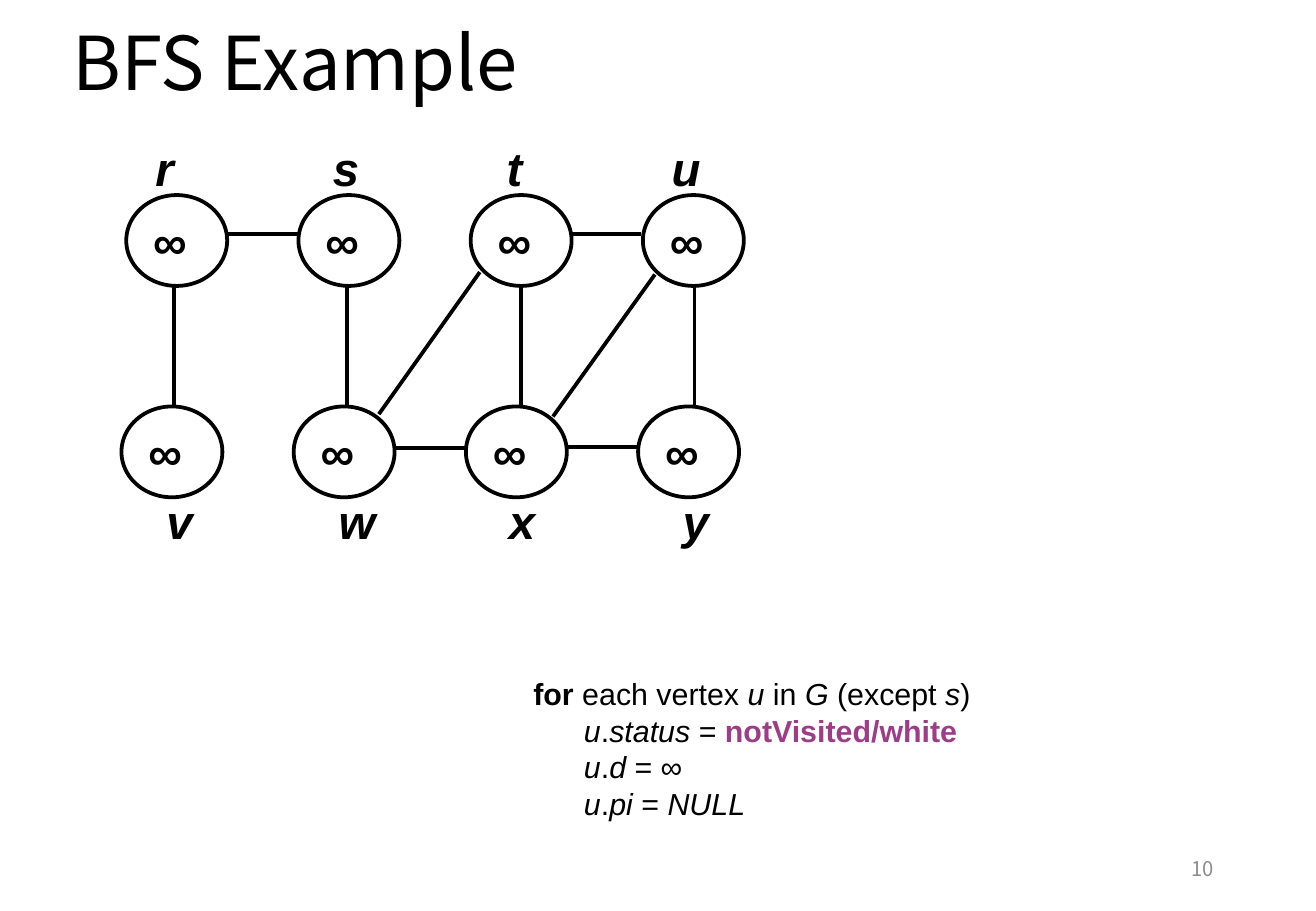
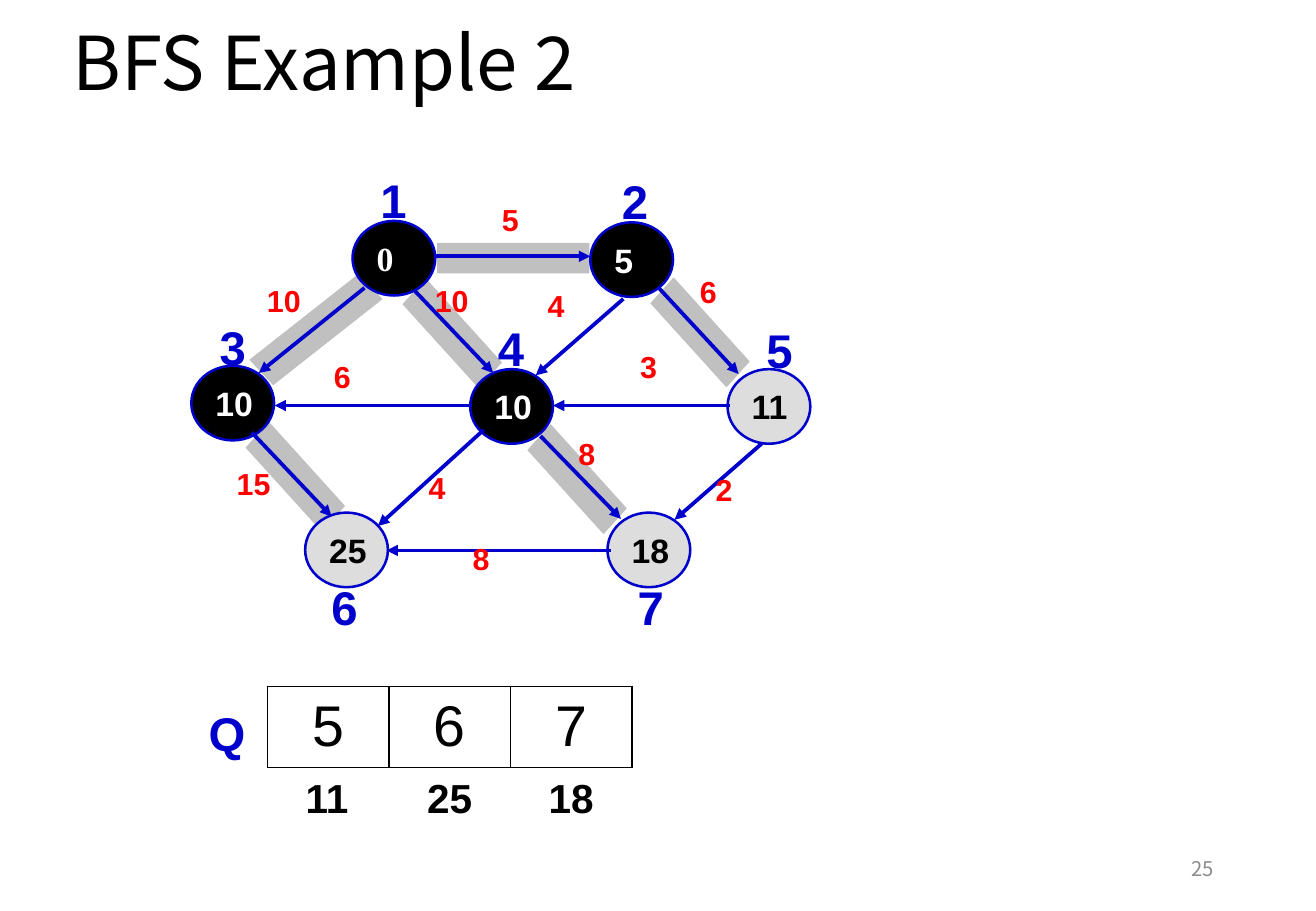
from lxml.etree import SubElement
from pptx import Presentation
from pptx.dml.color import RGBColor
from pptx.enum.shapes import MSO_CONNECTOR as Connector, MSO_SHAPE as Shape
from pptx.enum.text import MSO_ANCHOR as Anchor, MSO_AUTO_SIZE as AutoSize, PP_ALIGN as Align
from pptx.oxml.ns import qn
from pptx.util import Cm, Pt

COLORS = {
    "black": "000000", "white": "FFFFFF", "gray": "8C8C8C", "band": "C0C0C0",
    "queued": "DDDDDD", "blue": "0000CC", "red": "FF0000", "purple": "9D3D88",
}
HEADING_FONT = "Noto Sans CJK SC"
BODY_FONT = "Arial"


def rgb(color):
    return RGBColor.from_string(COLORS[color])


def style(font, size, color="black", name=BODY_FONT, bold=None, italic=None):
    font.size, font.name = Pt(size), name
    font.bold, font.italic = bold, italic
    font.color.rgb = rgb(color)


def add_text(slide, box, text, size, color="black", align=Align.LEFT,
             anchor=Anchor.MIDDLE, spacing=None, **font):
    frame = slide.shapes.add_textbox(*map(Cm, box)).text_frame
    frame.word_wrap = True
    frame.vertical_anchor = anchor
    paragraph = frame.paragraphs[0]
    paragraph.text = text
    paragraph.alignment = align
    paragraph.line_spacing = spacing
    style(paragraph.font, size, color, **font)
    return frame


def add_label(slide, box, text, size, color="black", italic=None):
    frame = add_text(slide, box, text, size, color, anchor=Anchor.TOP, bold=True, italic=italic)
    frame.word_wrap = False
    frame.auto_size = AutoSize.SHAPE_TO_FIT_TEXT


def add_node(slide, box, text, size, line, width, fill=None, color="black", **font):
    shape = slide.shapes.add_shape(Shape.OVAL, *map(Cm, box))
    shape.shadow.inherit = False
    if fill:
        shape.fill.solid()
        shape.fill.fore_color.rgb = rgb(fill)
    else:
        shape.fill.background()
    shape.line.color.rgb = rgb(line)
    shape.line.width = Pt(width)
    frame = shape.text_frame
    frame.word_wrap = False
    frame.vertical_anchor = Anchor.MIDDLE
    paragraph = frame.paragraphs[0]
    paragraph.text = text
    paragraph.alignment = Align.LEFT
    style(paragraph.font, size, color, bold=True, **font)


def add_edge(slide, left, top, ends, color, arrow=False):
    x1, y1, x2, y2 = ends
    connector = slide.shapes.add_connector(
        Connector.STRAIGHT, Cm(left + x1), Cm(top + y1), Cm(left + x2), Cm(top + y2))
    connector.line.color.rgb = rgb(color)
    connector.line.width = Pt(2.25)
    if arrow:
        SubElement(connector.line._get_or_add_ln(), qn("a:tailEnd"), type="triangle")
    SubElement(connector._element.spPr, qn("a:effectLst"))


def add_band(slide, kind, box, rotation):
    shape = slide.shapes.add_shape(kind, *map(Cm, box))
    shape.shadow.inherit = False
    shape.rotation = rotation
    shape.fill.solid()
    shape.fill.fore_color.rgb = rgb("band")
    shape.line.fill.background()


def add_base_slide(presentation, title, number):
    slide = presentation.slides.add_slide(presentation.slide_layouts[6])
    add_text(slide, (1.27, -0.2, 20.12, 3.17), title, 44, spacing=0.9, name=HEADING_FONT)
    add_text(slide, (19.43, 17.65, 6.2, 1.02), number, 12, "gray",
             align=Align.RIGHT, name=HEADING_FONT)
    return slide


def add_unvisited_graph(slide, left, top):
    step, node_width, node_height = 3.6, 2.11, 1.9
    rows = [
        (0.1, 1.34, 0.04, [("r", 0.46, 0.89), ("s", 4.17, 1.07), ("t", 7.8, 0.84), ("u", 11.25, 1.12)]),
        (0, 5.76, 7.42, [("v", 0.69, 1.07), ("w", 4.29, 1.27), ("x", 7.85, 1.07), ("y", 11.48, 1.07)]),
    ]
    for node_left, node_top, label_top, labels in rows:
        for column, (name, label_left, label_width) in enumerate(labels):
            box = (left + node_left + step * column, top + node_top, node_width, node_height)
            add_node(slide, box, "∞", 28, "black", 2.25, italic=True)
            add_label(slide, (left + label_left, top + label_top, label_width, 1.45),
                      name, 28, italic=True)
    vertical = [(1.09 + 3.63 * column, 5.77, 1.09 + 3.63 * column, 3.23) for column in range(4)]
    horizontal = [(x + 1.47, y, x, y)
                  for x, y in [(2.21, 2.16), (9.4, 2.16), (5.74, 6.63), (9.34, 6.61)]]
    diagonal = [(11.15, 3, 9.02, 5.97), (7.49, 2.95, 5.38, 5.92)]
    for ends in vertical + horizontal + diagonal:
        add_edge(slide, left, top, ends, "black")


def add_pseudocode(slide, box):
    lines = [
        [("for", "b"), (" each vertex ", ""), ("u", "i"), (" in ", ""), ("G", "i"),
         (" (except ", ""), ("s", "i"), (")", "")],
        [("      u", "i"), (".", ""), ("status", "i"), (" = ", ""), ("notVisited/white", "bp")],
        [("      u", "i"), (".", ""), ("d", "i"), (" = ∞", "")],
        [("      u", "i"), (".", ""), ("pi", "i"), (" = ", ""), ("NULL", "i")],
    ]
    frame = slide.shapes.add_textbox(*map(Cm, box)).text_frame
    frame.word_wrap = True
    frame.auto_size = AutoSize.SHAPE_TO_FIT_TEXT
    for index, line in enumerate(lines):
        paragraph = frame.add_paragraph() if index else frame.paragraphs[0]
        style(paragraph.font, 18)
        for text, marks in line:
            run = paragraph.add_run()
            run.text = text
            run.font.bold = "b" in marks
            run.font.italic = "i" in marks
            if "p" in marks:
                run.font.color.rgb = rgb("purple")


def add_weighted_graph(slide, left, top):
    bands = [
        (Shape.PARALLELOGRAM, 7.58, 5.39, 0.97, 2.36, 312),
        (Shape.PARALLELOGRAM, 1.69, 5.34, 0.97, 2.36, 312),
        (Shape.PARALLELOGRAM, 10.15, 2.32, 0.97, 2.36, 312),
        (Shape.RECTANGLE, 5.14, 1.63, 3.18, 0.64, 0),
        (Shape.PARALLELOGRAM, 4.97, 2.34, 0.97, 2.36, 312),
        (Shape.PARALLELOGRAM, 2.12, 1.99, 0.97, 2.9, 47),
    ]
    for kind, x, y, width, height, rotation in bands:
        add_band(slide, kind, (left + x, top + y, width, height), rotation)

    nodes = [
        ("1", "0", True, 3.37, 1.17, 3.7, 0),
        ("2", "5", True, 8.34, 1.2, 8.75, 0.03),
        ("3", "10", True, 0, 4.2, 0.34, 3.08),
        ("4", "10", True, 5.83, 4.27, 6.16, 3.1),
        ("5", "11", False, 11.21, 4.27, 11.77, 3.15),
        ("6", "25", False, 2.38, 7.27, 2.68, 8.51),
        ("7", "18", False, 8.7, 7.27, 9.08, 8.51),
    ]
    for name, distance, visited, x, y, label_x, label_y in nodes:
        fill, color = ("black", "white") if visited else ("queued", "black")
        font = "Times New Roman" if name == "1" else BODY_FONT
        add_node(slide, (left + x, top + y, 1.73, 1.56), distance, 20, "blue", 1.5,
                 fill, color, name=font)
        add_label(slide, (left + label_x, top + label_y, 1.07, 1.45), name, 28, "blue")

    edges = [
        ((3.62, 2.57, 1.41, 4.35), "10", 1.33, 2.32),
        ((5.09, 1.91, 8.34, 1.91), "5", 6.24, 0.64),
        ((4.66, 2.62, 6.31, 4.35), "10", 4.84, 2.32),
        ((6.11, 5.54, 3.9, 7.55), "4", 4.71, 6.23),
        ((7.3, 5.67, 8.98, 7.4), "8", 7.84, 5.52),
        ((9.03, 2.8, 7.2, 4.4), "4", 7.2, 2.44),
        ((8.78, 8.06, 4.08, 8.06), "8", 5.63, 7.73),
        ((1.26, 5.59, 2.93, 7.35), "15", 0.7, 6.15),
        ((9.77, 2.57, 11.44, 4.37), "6", 10.38, 2.14),
        ((11.93, 5.82, 10.1, 7.42), "2", 10.71, 6.28),
        ((11.27, 5.03, 7.56, 5.03), "3", 9.13, 3.71),
        ((5.86, 5.03, 1.74, 5.03), "6", 2.73, 3.92),
    ]
    for ends, weight, x, y in edges:
        add_edge(slide, left, top, ends, "blue", arrow=True)
        width = 0.5 + 0.36 * len(weight)
        add_label(slide, (left + x, top + y, width, 1.02), weight, 18, "red")


def set_borders(cell):
    properties = cell._tc.get_or_add_tcPr()
    for index, side in enumerate(("a:lnL", "a:lnR", "a:lnT", "a:lnB")):
        line = properties.makeelement(qn(side), {"w": str(Pt(1))})
        fill = SubElement(line, qn("a:solidFill"))
        SubElement(fill, qn("a:srgbClr"), val=COLORS["black"])
        properties.insert(index, line)


def add_queue(slide, left, top):
    entries = [("5", "11"), ("6", "25"), ("7", "18")]
    cell_width, cell_height = 2.54, 1.7
    table_left = left + 1.48
    add_label(slide, (left, top + 0.25, 1.27, 1.45), "Q", 28, "blue")
    table = slide.shapes.add_table(
        1, len(entries), Cm(table_left), Cm(top),
        Cm(cell_width * len(entries)), Cm(cell_height)).table
    table.first_row = table.horz_banding = False
    for column, (vertex, distance) in enumerate(entries):
        cell = table.cell(0, column)
        cell.fill.background()
        cell.vertical_anchor = Anchor.MIDDLE
        set_borders(cell)
        paragraph = cell.text_frame.paragraphs[0]
        paragraph.text = vertex
        paragraph.alignment = Align.CENTER
        style(paragraph.font, 34)
        key_left = table_left + cell_width * column + 0.55
        add_label(slide, (key_left, top + cell_height, 1.45, 1.27), distance, 24)


def main():
    presentation = Presentation()
    presentation.slide_width, presentation.slide_height = Cm(27.51), Cm(19.05)

    slide = add_base_slide(presentation, "BFS Example", "10")
    add_unvisited_graph(slide, 2.54, 2.74)
    add_pseudocode(slide, (10.9, 14, 9.73, 3.3))

    slide = add_base_slide(presentation, "BFS Example 2", "25")
    add_weighted_graph(slide, 4, 3.45)
    add_queue(slide, 4.11, 14.35)

    presentation.save("out.pptx")


if __name__ == "__main__":
    main()
